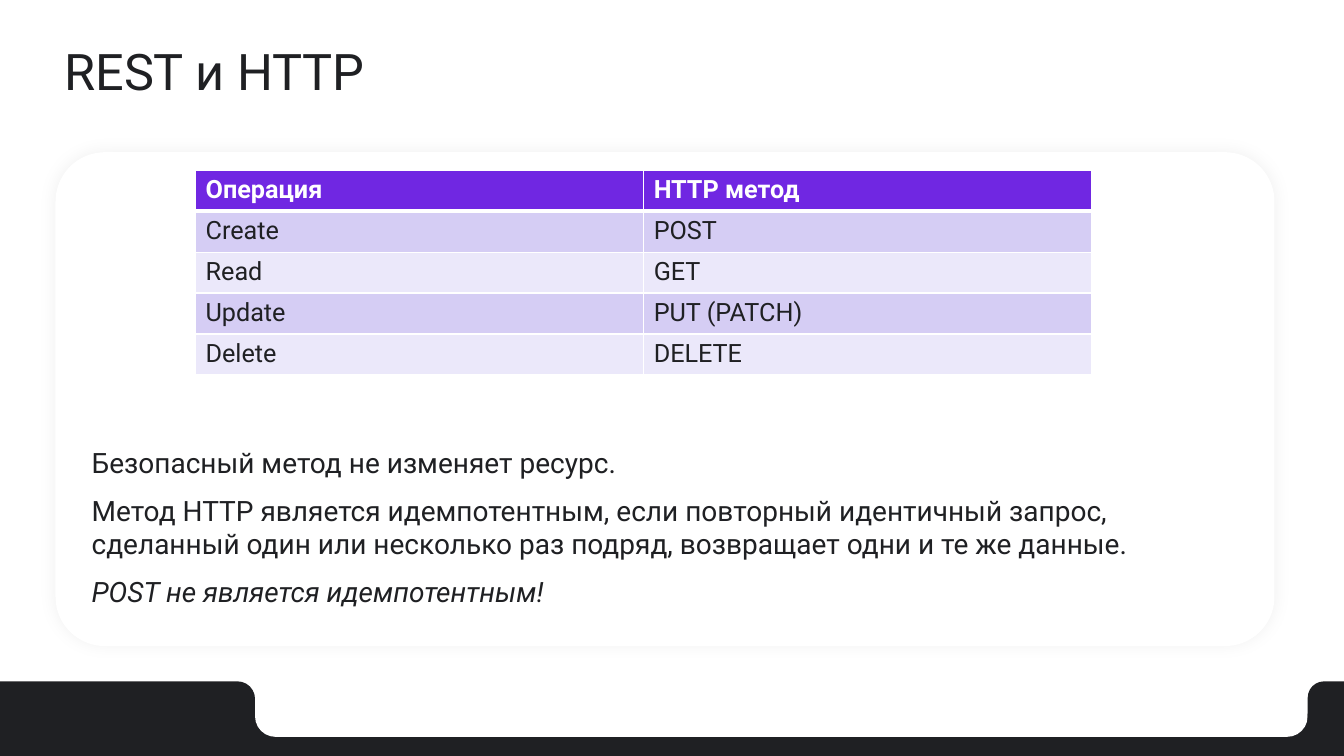
"""Builds the slide on REST operations and HTTP methods."""
import pptx
import pptx.util
import pptx.dml.color
import pptx.enum.shapes
import pptx.enum.text
import pptx.oxml
import pptx.oxml.ns

HUES = {"ink": "1F2023", "white": "FFFFFF", "head": "7027E2",
        "odd": "D5CDF4", "even": "EBE8FA"}
SPACE = pptx.oxml.ns.nsdecls("a")

deck = pptx.Presentation()
deck.slide_width = pptx.util.Inches(13.33)
deck.slide_height = pptx.util.Inches(7.5)
slide = deck.slides.add_slide(deck.slide_layouts[6])


def place(left, top, width, height):
    """Turn percent shares of the slide into lengths."""
    wide, high = deck.slide_width / 100, deck.slide_height / 100
    return [round(n) for n in (left * wide, top * high, width * wide, height * high)]


def style(para, size, hue="ink"):
    """Set the font of a paragraph."""
    para.font.name = "Roboto"
    para.font.size = pptx.util.Pt(size)
    para.font.color.rgb = pptx.dml.color.RGBColor.from_string(HUES[hue])


panels = [
    ((-2.18, 90.13, 21.16, 17.87), 0.13, "ink"),
    ((15.15, 94.4, 88.15, 13.6), 0.17, "ink"),
    ((18.98, 83.87, 78.32, 13.6), 0.2, "white"),
    ((97.3, 90.13, 8.1, 17.87), 0.15, "ink"),
    ((4.13, 20.13, 90.7, 65.33), 0.1, "white"),
]
for spot, bend, hue in panels:
    panel = slide.shapes.add_shape(
        pptx.enum.shapes.MSO_SHAPE.ROUNDED_RECTANGLE, *place(*spot))
    panel.adjustments[0] = bend
    panel.fill.solid()
    panel.fill.fore_color.rgb = pptx.dml.color.RGBColor.from_string(HUES[hue])
    panel.line.fill.background()
    panel.shadow.inherit = False

card = panel
glow = card._element.spPr.find(pptx.oxml.ns.qn("a:effectLst"))
glow.append(pptx.oxml.parse_xml(
    f'<a:outerShdw {SPACE} blurRad="{pptx.util.Pt(12)}" dist="0" dir="0" '
    'algn="ctr" rotWithShape="0"><a:srgbClr val="000000">'
    '<a:alpha val="6000"/></a:srgbClr></a:outerShdw>'))

title = slide.shapes.add_textbox(*place(4.05, 5.2, 86.27, 9.2)).text_frame
title.word_wrap = True
title.vertical_anchor = pptx.enum.text.MSO_ANCHOR.MIDDLE
title.text = "REST и HTTP"
title.paragraphs[0].line_spacing = 0.9
style(title.paragraphs[0], 36)

rows = [
    ("Операция", "HTTP метод"),
    ("Create", "POST"),
    ("Read", "GET"),
    ("Update", "PUT (PATCH)"),
    ("Delete", "DELETE"),
]
table = slide.shapes.add_table(
    len(rows), 2, *place(14.55, 22.53, 66.69, 27.07)).table
for r, row in enumerate(rows):
    band = "head" if r == 0 else ("even", "odd")[r % 2]
    for c, word in enumerate(row):
        cell = table.cell(r, c)
        cell.text = word
        para = cell.text_frame.paragraphs[0]
        style(para, 18, "white" if r == 0 else "ink")
        para.font.bold = r == 0
        for side in "LRTB":
            thick = 3 if (r, side) in ((0, "B"), (1, "T")) else 1
            cell._tc.get_or_add_tcPr().append(pptx.oxml.parse_xml(
                f'<a:ln{side} {SPACE} w="{pptx.util.Pt(thick)}"><a:solidFill>'
                f'<a:srgbClr val="{HUES["white"]}"/></a:solidFill></a:ln{side}>'))
        cell.fill.solid()
        cell.fill.fore_color.rgb = pptx.dml.color.RGBColor.from_string(HUES[band])

notes = [
    "Безопасный метод не изменяет ресурс.",
    "Метод HTTP является идемпотентным, если повторный идентичный запрос, "
    "сделанный один или несколько раз подряд, возвращает одни и те же данные.",
    "POST не является идемпотентным!",
]
body = slide.shapes.add_textbox(*place(6.08, 58.27, 86.42, 23.07)).text_frame
body.word_wrap = True
body.text = "\n".join(notes)
for para in body.paragraphs:
    style(para, 20)
for para in body.paragraphs[1:]:
    para.space_before = pptx.util.Pt(10)
body.paragraphs[-1].font.italic = True

deck.save("out.pptx")
